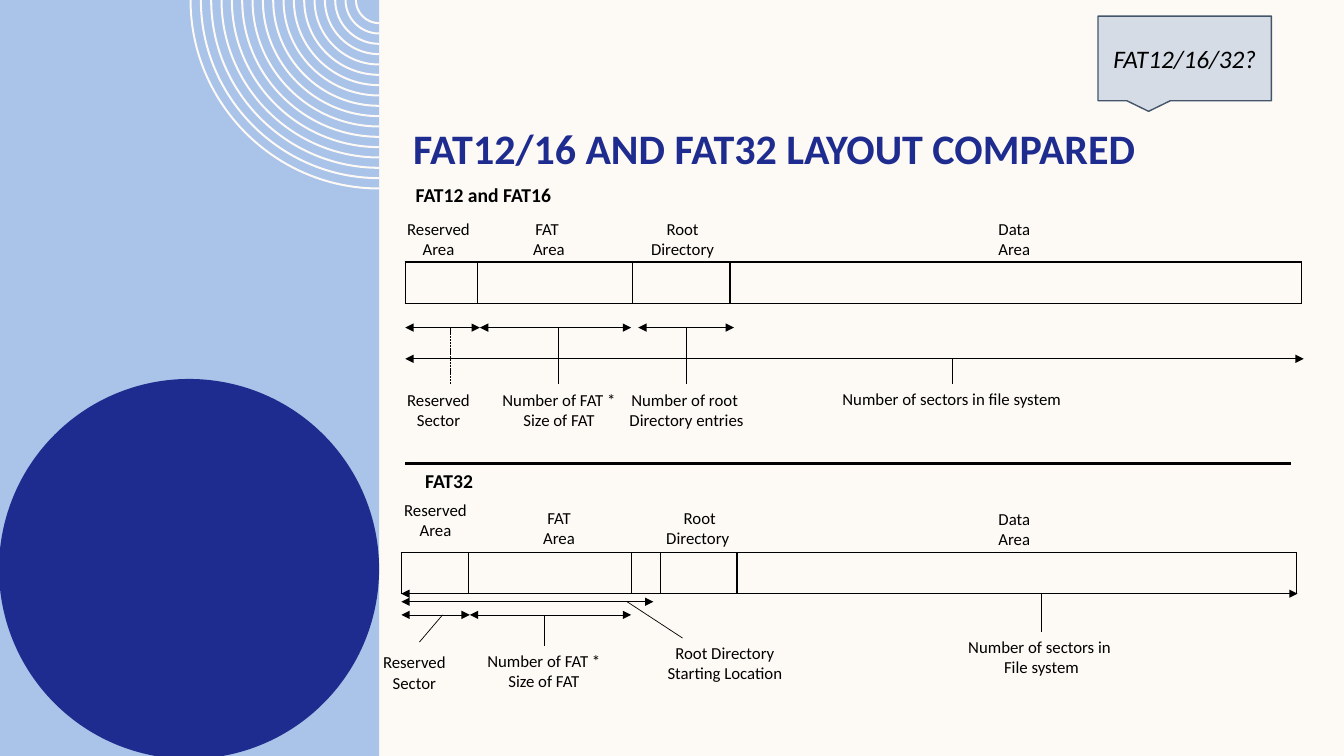
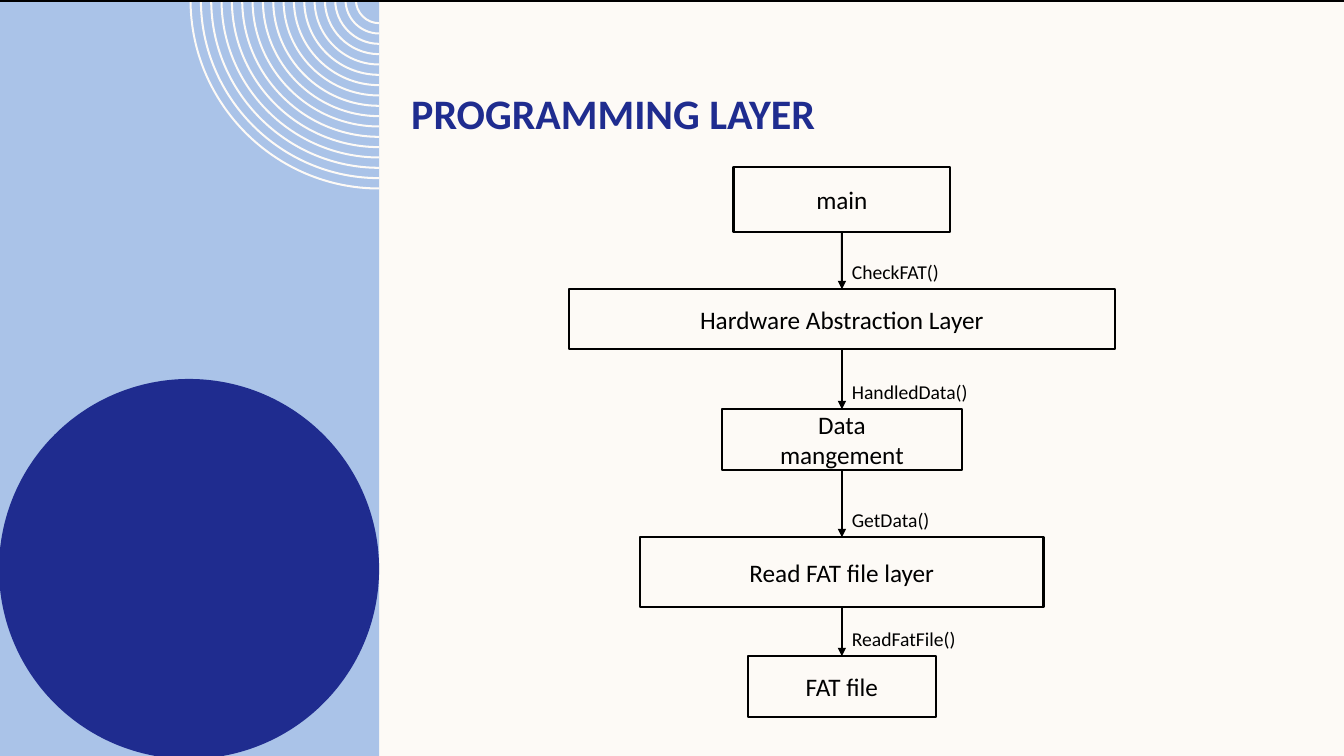
"""Builds two slides on the FAT layout and the programming layers."""
from dataclasses import dataclass

from lxml import etree
from pptx import Presentation
from pptx.dml.color import RGBColor
from pptx.enum.dml import MSO_LINE
from pptx.enum.shapes import MSO_CONNECTOR, MSO_SHAPE
from pptx.enum.text import MSO_ANCHOR, MSO_AUTO_SIZE, PP_ALIGN
from pptx.oxml.ns import qn
from pptx.util import Inches, Pt

RECT, OVAL, CALLOUT = MSO_SHAPE.RECTANGLE, MSO_SHAPE.OVAL, MSO_SHAPE.RECTANGULAR_CALLOUT
STRAIGHT = MSO_CONNECTOR.STRAIGHT
DASH = MSO_LINE.SQUARE_DOT
LEFT, CENTER = PP_ALIGN.LEFT, PP_ALIGN.CENTER
TOP, MIDDLE = MSO_ANCHOR.TOP, MSO_ANCHOR.MIDDLE
FIT = MSO_AUTO_SIZE.SHAPE_TO_FIT_TEXT


@dataclass(frozen=True)
class Theme:
    """Colours, font and type sizes of the deck."""
    paper: str = "FDFAF6"
    sky: str = "AAC3E8"
    navy: str = "1F2C8F"
    ink: str = "000000"
    grey: str = "D6DCE5"
    slate: str = "44546A"
    font: str = "Calibri"
    title: int = 30
    body: int = 18
    heading: int = 14
    label: int = 12


@dataclass(frozen=True)
class FatMap:
    """Disk layout: all offsets are measured from the bar's top left corner."""
    heading: tuple
    cols: tuple
    labels: tuple
    spans: tuple
    leaders: tuple


T = Theme()

FAT16 = FatMap(
    heading=("FAT12 and FAT16", -0.09, -0.83, 1.73),
    cols=(0.72, 1.53, 0.97, 5.67),
    labels=(
        ("Reserved\nArea", -0.09, -0.48, 0.84),
        ("FAT \nArea", 1.16, -0.48, 0.53),
        ("Root\nDirectory", 2.31, -0.48, 0.88),
        ("Data\nArea", 5.77, -0.48, 0.54),
        ("Reserved\nSector", -0.09, 1.22, 0.84),
        ("Number of FAT *\nSize of FAT", 0.81, 1.22, 1.43),
        ("Number of root \nDirectory entries", 2.09, 1.22, 1.4),
        ("Number of sectors in file system", 4.18, 1.21, 2.48),
    ),
    spans=((0, 0.74, 0.65), (0.74, 2.24, 0.65), (2.31, 3.26, 0.65), (0, 8.91, 0.96)),
    leaders=(
        (0.45, 0.65, 0.45, 1.21, DASH),
        (1.52, 0.65, 1.52, 1.21, None),
        (2.79, 0.65, 2.79, 1.21, None),
        (5.43, 0.96, 5.43, 1.21, None),
    ),
)

FAT32 = FatMap(
    heading=("FAT32", 0.1, -0.88, 0.75),
    cols=(0.67, 1.61, 0.29, 0.76, 5.55),
    labels=(
        ("Reserved\nArea", -0.08, -0.57, 0.84),
        ("FAT\nArea", 1.3, -0.49, 0.53),
        ("Root\nDirectory ", 2.5, -0.49, 0.92),
        ("Data\nArea", 5.81, -0.48, 0.54),
        ("Reserved\nSector", -0.29, 0.94, 0.84),
        ("Number of FAT *\nSize of FAT", 0.7, 0.93, 1.43),
        ("Root Directory\nStarting Location", 2.49, 0.85, 1.44),
        ("Number of sectors in \nFile system", 5.48, 0.79, 1.74),
    ),
    spans=((0, 8.89, 0.41), (0, 2.5, 0.49), (0.68, 2.28, 0.62), (0, 0.68, 0.62)),
    leaders=(
        (0.18, 0.89, 0.41, 0.62, None),
        (1.42, 0.93, 1.42, 0.62, None),
        (2.79, 0.85, 2.24, 0.49, None),
        (6.35, 0.79, 6.35, 0.41, None),
    ),
)

LAYERS = (
    ("main", 0, 2.15, 0.64, None, 0),
    ("Hardware Abstraction Layer", 1.21, 5.41, 0.59, "CheckFAT()", 1.2),
    ("Data\nmangement", 2.4, 2.38, 0.6, "HandledData()", 1.45),
    ("Read FAT file layer", 3.67, 4, 0.69, "GetData()", 1.02),
    ("FAT file", 4.85, 1.86, 0.6, "ReadFatFile()", 1.31),
)


def rgb(color):
    """Turn a hex string into a colour."""
    return RGBColor.from_string(color)


def write(sp, text, size=T.body, color=T.ink, bold=False, italic=False,
          align=CENTER, anchor=MIDDLE, wrap=True):
    """Write text into a shape, one paragraph a line."""
    tf = sp.text_frame
    tf.word_wrap = wrap
    tf.vertical_anchor = anchor
    for i, line in enumerate(text.split("\n")):
        p = tf.paragraphs[0] if i == 0 else tf.add_paragraph()
        p.alignment = align
        r = p.add_run()
        r.text = line
        r.font.name, r.font.size = T.font, Pt(size)
        r.font.bold, r.font.italic = bold, italic
        r.font.color.rgb = rgb(color)


def paint(sp, fill=None, line=None, width=1):
    """Set fill and outline of a shape and drop its shadow."""
    sp.shadow.inherit = False
    if fill:
        sp.fill.solid()
        sp.fill.fore_color.rgb = rgb(fill)
    else:
        sp.fill.background()
    if line:
        sp.line.color.rgb = rgb(line)
        sp.line.width = Pt(width)
    else:
        sp.line.fill.background()


def add_shape(s, kind, x, y, w, h, **style):
    """Add a painted preset shape."""
    sp = s.shapes.add_shape(kind, Inches(x), Inches(y), Inches(w), Inches(h))
    paint(sp, **style)
    return sp


def add_label(s, text, x, y, w, size=T.label, **style):
    """Add an unwrapped text box as tall as its lines."""
    h = 0.1 + size / 60 * len(text.split("\n"))
    sp = s.shapes.add_textbox(Inches(x), Inches(y), Inches(w), Inches(h))
    write(sp, text, size=size, anchor=TOP, wrap=False, **style)
    sp.text_frame.auto_size = FIT


def add_line(s, x1, y1, x2, y2, width=0.5, dash=None, arrows=()):
    """Add a straight line; arrows names the ends that carry a head."""
    c = s.shapes.add_connector(STRAIGHT, Inches(x1), Inches(y1), Inches(x2), Inches(y2))
    c.line.color.rgb = rgb(T.ink)
    c.line.width = Pt(width)
    if dash:
        c.line.dash_style = dash
    ln = c.line._get_or_add_ln()
    for end in arrows:
        etree.SubElement(ln, qn(f"a:{end}"), type="triangle")
    etree.SubElement(c._element.spPr, qn("a:effectLst"))
    return c


def bend(lines):
    """Turn three straight segments into one Bezier curve."""
    curve = etree.Element(qn("a:cubicBezTo"))
    lines[0].addprevious(curve)
    for line in lines:
        curve.append(line[0])
        line.getparent().remove(line)


def add_rings(s, cx, count=17, inner=0.24, step=0.1025, thick=0.02, kappa=0.55):
    """Draw quarter rings around the point cx on the top edge."""
    def arc(radius):
        """List end and control points of a quarter circle, left to bottom."""
        grip = radius * kappa
        spots = ((radius, 0), (radius, grip), (grip, radius), (0, radius))
        return [(Inches(cx - dx), Inches(dy)) for dx, dy in spots]

    fb = None
    for i in range(count):
        outer = arc(inner + i * step)
        if fb is None:
            fb = s.shapes.build_freeform(*outer[0])
        else:
            fb.move_to(*outer[0])
        fb.add_line_segments(arc(inner + i * step - thick) + outer[::-1], close=True)
    sp = fb.convert_to_shape()
    lines = list(sp._element.iter(qn("a:lnTo")))
    for i in range(0, len(lines), 4):
        bend(lines[i + 1:i + 4])
    paint(sp, fill=T.paper)


def add_base(prs, title, x, y):
    """Add a slide with the side panel and its title."""
    s = prs.slides.add_slide(prs.slide_layouts[6])
    s.background.fill.solid()
    s.background.fill.fore_color.rgb = rgb(T.paper)
    side = 3.76
    add_shape(s, RECT, 0, 0, side, 7.5, fill=T.sky)
    add_rings(s, side)
    add_shape(s, OVAL, -0.01, side, side + 0.01, side + 0.01, fill=T.navy)
    sp = s.shapes.add_textbox(Inches(x), Inches(y), Inches(8.93), Inches(0.84))
    write(sp, title, size=T.title, color=T.navy, bold=True, align=LEFT, anchor=TOP)
    return s


def add_bar(s, x, y, cols, h=0.41):
    """Add a one-row table with black borders."""
    frame = s.shapes.add_table(1, len(cols), Inches(x), Inches(y), Inches(sum(cols)), Inches(h))
    table = frame.table
    table.first_row = table.horz_banding = False
    table.rows[0].height = Inches(h)
    for i, w in enumerate(cols):
        table.columns[i].width = Inches(w)
        cell = table.cell(0, i)
        cell.text_frame.paragraphs[0].font.size = Pt(T.label)
        cell.fill.solid()
        cell.fill.fore_color.rgb = rgb(T.paper)
        tc_pr = cell._tc.get_or_add_tcPr()
        for n, edge in enumerate(("lnL", "lnR", "lnT", "lnB")):
            ln = etree.Element(qn(f"a:{edge}"), w=str(Pt(1)))
            fill = etree.SubElement(ln, qn("a:solidFill"))
            etree.SubElement(fill, qn("a:srgbClr"), val=T.ink)
            tc_pr.insert(n, ln)


def add_fat_map(s, x, y, fat):
    """Draw one disk layout with its bar at x, y."""
    text, dx, dy, w = fat.heading
    add_label(s, text, x + dx, y + dy, w, size=T.heading, bold=True)
    add_bar(s, x, y, fat.cols)
    for text, dx, dy, w in fat.labels:
        add_label(s, text, x + dx, y + dy, w)
    for x1, x2, dy in fat.spans:
        add_line(s, x + x1, y + dy, x + x2, y + dy, arrows=("headEnd", "tailEnd"))
    for x1, y1, x2, y2, dash in fat.leaders:
        add_line(s, x + x1, y + y1, x + x2, y + y2, dash=dash)


def add_flow(s, cx, y, layers):
    """Stack boxes around cx and join them with labelled arrows."""
    last = None
    for text, dy, w, h, call, call_w in layers:
        top = y + dy
        box = add_shape(s, RECT, cx - w / 2, top, w, h, line=T.ink, width=1.5)
        write(box, text)
        if last is not None:
            c = add_line(s, cx, top, cx, top, width=1.5, arrows=("tailEnd",))
            c.begin_connect(last, 2)
            c.end_connect(box, 0)
            add_label(s, call, cx, top - 0.34, call_w, size=T.heading, align=LEFT)
        last = box


def layout_slide(prs):
    """Compare the FAT12/16 and FAT32 layouts."""
    s = add_base(prs, "FAT12/16 AND FAT32 LAYOUT COMPARED", 4, 1.17)
    note = add_shape(s, CALLOUT, 10.89, 0.16, 1.72, 0.84, fill=T.grey, line=T.slate)
    write(note, "FAT12/16/32?", italic=True)
    add_fat_map(s, 4.02, 2.6, FAT16)
    add_line(s, 4.02, 4.6, 12.8, 4.6, width=2.25)
    add_fat_map(s, 3.98, 5.48, FAT32)


def layer_slide(prs):
    """Show the programming layers as a flow."""
    s = add_base(prs, "PROGRAMMING LAYER", 3.98, 0.82)
    add_shape(s, RECT, 0, 0, 13.33, 0.02, fill=T.ink, line=T.ink, width=0.75)
    add_flow(s, 8.35, 1.66, LAYERS)


def main():
    """Build and save the deck."""
    prs = Presentation()
    prs.slide_width, prs.slide_height = Inches(13.33), Inches(7.5)
    layout_slide(prs)
    layer_slide(prs)
    prs.save("out.pptx")


if __name__ == "__main__":
    main()
